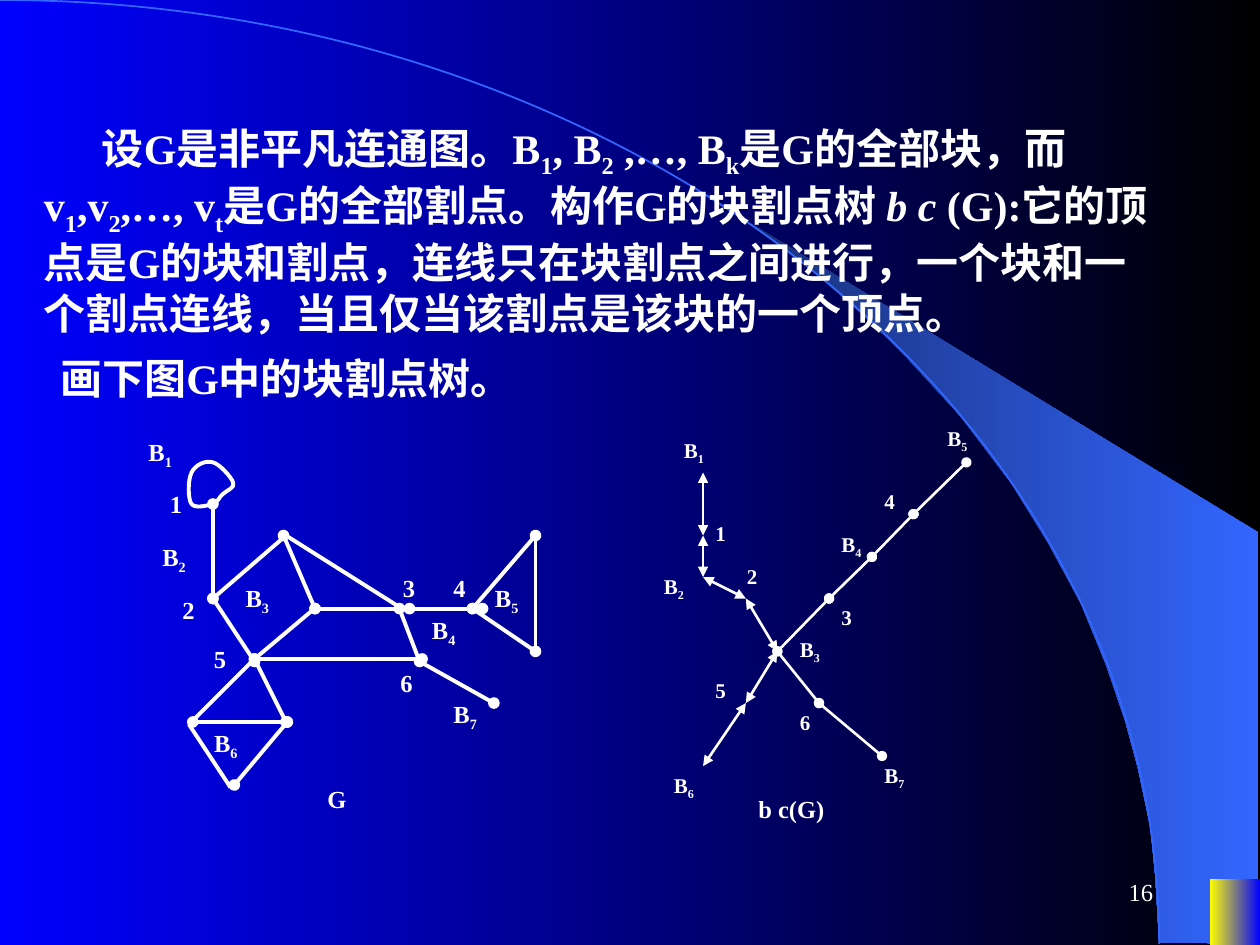
from lxml import etree
from pptx import Presentation, util as u
from pptx.dml.color import RGBColor
from pptx.enum import shapes, text
from pptx.oxml.ns import qn
from pptx.util import Inches

COLORS = {"white": "FFFFFF", "blue": "0000FF", "black": "000000", "yellow": "FFFF00",
          "navy": "182F76", "sky": "3366FF"}
RGB = {name: RGBColor.from_string(value) for name, value in COLORS.items()}


def add_text(x, y, w, h, markup, size=14, indent=0, frame=None, para=None, bold=True):
    """Add a text box; |x| marks a subscript and *x* marks italics."""
    tf = s.shapes.add_textbox(Inches(x), Inches(y), Inches(w), Inches(h)).text_frame
    for key, value in {"word_wrap": True, **(frame or {})}.items():
        setattr(tf, key, value)
    p = tf.paragraphs[0]
    for key, value in (para or {}).items():
        setattr(p, key, value)
    if indent:
        p._p.get_or_add_pPr().set("indent", str(Inches(indent)))
    for i, part in enumerate(markup.split("|")):
        for j, piece in enumerate(part.split("*")):
            if not piece:
                continue
            r = p.add_run()
            r.text = piece
            font = {"name": "Times New Roman", "size": u.Pt(size), "bold": bold}
            if j % 2:
                font["italic"] = True
            for key, value in font.items():
                setattr(r.font, key, value)
            r.font.color.rgb = RGB["white"]
            if i % 2:
                r._r.get_or_add_rPr().set("baseline", "-25000")


def add_outline(points, close=True, curved=False):
    """Add an outline; if curved, each three points after the first make a cubic curve."""
    points = [(Inches(x), Inches(y)) for x, y in points]
    fb = s.shapes.build_freeform(*points[0])
    fb.add_line_segments(points[1:], close=close)
    sp = fb.convert_to_shape()
    sp.shadow.inherit = False
    if curved:
        sp.fill.background()
        steps = list(sp._element.iter(qn("a:lnTo")))
        for n in range(0, len(points) - 1, 3):
            curve = etree.Element(qn("a:cubicBezTo"))
            steps[n].addprevious(curve)
            for step in steps[n:n + 3]:
                curve.append(step[0])
                step.getparent().remove(step)
    return sp


prs = Presentation()
prs.slide_width, prs.slide_height = Inches(10), Inches(7.5)
s = prs.slides.add_slide(prs.slide_layouts[6])

# Backdrop: swoosh, arc and corner block
wing = add_outline([
    (9.2, 7.48), (9.99, 7.49), (9.99, 4.23), (5.89, 1.73), (6.24, 1.99), (6.53, 2.22),
    (6.85, 2.5), (7.16, 2.8), (7.62, 3.3), (8.03, 3.84), (8.32, 4.31), (8.58, 4.79),
    (8.78, 5.28), (8.93, 5.72), (9.03, 6.09), (9.13, 6.56), (9.17, 6.96)])
arc = add_outline([(0, 0), (5.08, 0), (9.2, 3.35), (9.2, 7.49)], close=False, curved=True)
arc.line.color.rgb = RGB["sky"]
arc.line.width = u.Pt(1)
corner = s.shapes.add_shape(shapes.MSO_SHAPE.RECTANGLE,
                            Inches(9.6), Inches(6.98), Inches(0.4), Inches(0.52))
for sp in (wing, corner):
    sp.shadow.inherit = False
    sp.line.fill.background()
for fill, ends in ((s.background.fill, ("blue", "black")),
                   (wing.fill, ("navy", "sky")), (corner.fill, ("yellow", "blue"))):
    fill.gradient()
    fill.gradient_angle = 0
    for stop, name in zip(fill.gradient_stops, ends):
        stop.color.rgb = RGB[name]

# Page number and body text
add_text(7.17, 6.83, 2.08, 0.5, "16", bold=False,
         frame={"vertical_anchor": text.MSO_ANCHOR.MIDDLE},
         para={"alignment": text.PP_ALIGN.RIGHT})
spaced = {"space_before": u.Pt(15)}
add_text(0.25, 0.92, 9, 1.81,
         "设G是非平凡连通图。B|1|, B|2| ,…, B|k|是G的全部块，而v|1|,v|2|,…, v|t|"
         "是G的全部割点。构作G的块割点树 *b c *(G):它的顶点是G的块和割点，"
         "连线只在块割点之间进行，一个块和一个割点连线，当且仅当该割点是该块的一个顶点。",
         size=24, indent=0.46, para=spaced)
add_text(0, 2.75, 8.42, 0.5, "画下图G中的块割点树。", size=24, indent=0.38, para=spaced)

# Edges by line width and end mark: x1, y1, x2, y2
edges = [
    (2.25, None, [  # graph G, plain
        (3.17, 4.83, 3.33, 5.25), (1.5, 5.75, 1.83, 6.25), (1.69, 4.75, 2.27, 4.25),
        (2.02, 5.23, 2.52, 4.81), (2.27, 4.25, 3.19, 4.83), (4.25, 4.25, 4.25, 5.17),
        (2.02, 5.23, 1.52, 5.73)]),
    (2.25, "oval", [  # graph G, with vertices
        (3.25, 4.83, 3.83, 4.83), (2.5, 4.83, 3.17, 4.83), (2.25, 4.25, 2.5, 4.83),
        (1.69, 4, 1.69, 4.75), (1.69, 4.75, 2.02, 5.25), (2.02, 5.23, 3.35, 5.23),
        (3.33, 5.25, 3.92, 5.58), (3.75, 4.83, 4.25, 4.25), (3.75, 4.83, 4.25, 5.17),
        (2.02, 5.23, 2.27, 5.73), (2.28, 5.73, 1.86, 6.23), (1.53, 5.73, 2.28, 5.73)]),
]
# Branches of the tree, each a chain of vertices
branches = [
    ("triangle", [(5.58, 3.75), (5.58, 4.25), (5.58, 4.58), (5.92, 4.75), (6.17, 5.17),
                  (5.92, 5.58), (5.58, 6.08)]),
    ("oval", [(6.17, 5.17), (6.5, 5.58), (7, 6)]),
    ("oval", [(6.17, 5.17), (6.58, 4.75), (6.92, 4.42), (7.25, 4.08), (7.67, 3.67)]),
]
for mark, chain in branches:
    edges.append((1.5, mark, [a + b for a, b in zip(chain, chain[1:])]))
for width, mark, lines in edges:
    for line in lines:
        c = s.shapes.add_connector(shapes.MSO_CONNECTOR.STRAIGHT, *map(Inches, line))
        c.line.color.rgb = RGB["white"]
        c.line.width = u.Pt(width)
        etree.SubElement(c._element.spPr, qn("a:effectLst"))
        if mark:
            for end in ("a:headEnd", "a:tailEnd"):
                etree.SubElement(c.line._get_or_add_ln(), qn(end), type=mark)

# Loop at vertex 1
loop = add_outline([
    (1.69, 4), (1.65, 4.01), (1.55, 4.04), (1.52, 4), (1.49, 3.96), (1.49, 3.81),
    (1.52, 3.75), (1.55, 3.69), (1.63, 3.65), (1.69, 3.67), (1.74, 3.68), (1.84, 3.79),
    (1.85, 3.83), (1.87, 3.87), (1.8, 3.89), (1.77, 3.92), (1.74, 3.94), (1.73, 3.99),
    (1.69, 4)], curved=True)
loop.line.color.rgb = RGB["white"]
loop.line.width = u.Pt(2.25)

# Labels by size: cut vertices 1 to 6, then blocks B1 to B7, in number order
labels = [
    (14, 0.43, 0.34, "{}", [(1.25, 3.83), (1.35, 4.67), (3.1, 4.5), (3.5, 4.5),
                            (1.6, 5.06), (3.08, 5.25)]),
    (14, 0.52, 0.37, "B|{}|", [(1.08, 3.42), (1.19, 4.25), (1.85, 4.58), (3.33, 4.83),
                               (3.83, 4.58), (1.6, 5.73), (3.5, 5.5)]),
    (12, 0.43, 0.3, "{}", [(5.58, 4.08), (5.83, 4.42), (6.58, 4.75), (6.92, 3.83),
                           (5.58, 5.33), (6.25, 5.58)]),
    (12, 0.43, 0.33, "B|{}|", [(5.33, 3.42), (5.17, 4.5), (6.25, 5), (6.58, 4.17),
                               (7.42, 3.33), (5.25, 6.08), (6.92, 6)]),
]
for size, w, h, pattern, places in labels:
    for number, (x, y) in enumerate(places, 1):
        add_text(x, y, w, h, pattern.format(number), size)
add_text(2.5, 6.17, 0.68, 0.34, "G")
add_text(5.92, 6.25, 1, 0.34, "b c(G)")

prs.save("out.pptx")
